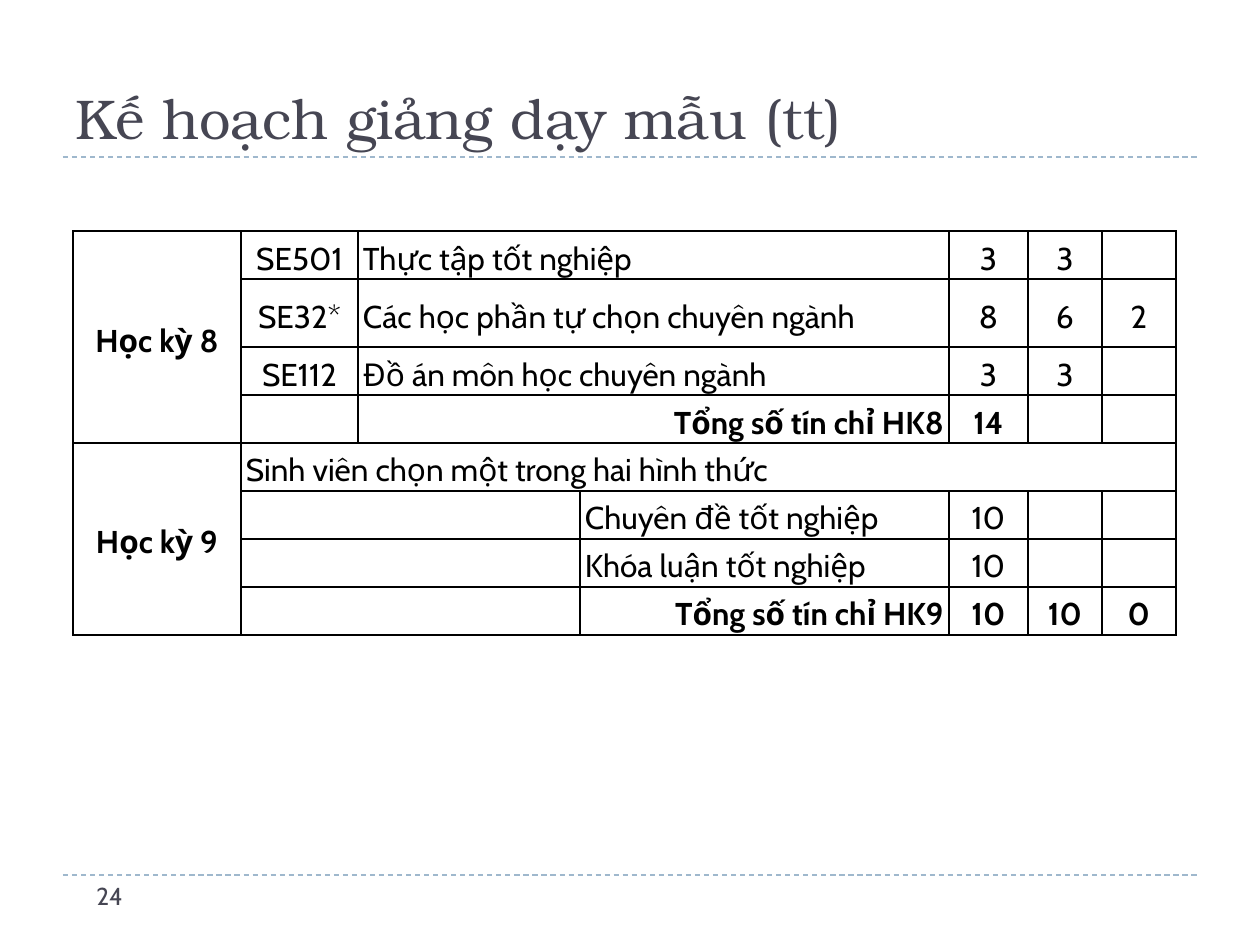
from lxml import etree
from pptx import Presentation
from pptx.dml.color import RGBColor
from pptx.enum.dml import MSO_LINE
from pptx.enum.shapes import MSO_CONNECTOR
from pptx.enum.text import MSO_ANCHOR, MSO_AUTO_SIZE, PP_ALIGN
from pptx.oxml.ns import qn
from pptx.util import Pt

PX = 914400 // 126
CENTER, RIGHT, JUSTIFY, LEFT = PP_ALIGN.CENTER, PP_ALIGN.RIGHT, PP_ALIGN.JUSTIFY, PP_ALIGN.LEFT
MIDDLE, TOP, BOTTOM = MSO_ANCHOR.MIDDLE, MSO_ANCHOR.TOP, MSO_ANCHOR.BOTTOM
STRAIGHT, DASH, NO_FIT = MSO_CONNECTOR.STRAIGHT, MSO_LINE.DASH, MSO_AUTO_SIZE.NONE

HEAD_FONT, BODY_FONT = "TeX Gyre Bonum", "Cabin"
INK, RULE, BLACK = "464653", "9FB8CD", "000000"

TITLE = "Kế hoạch giảng dạy mẫu (tt)"
PAGE = "24"
RULE_TOPS = [875, 157]

TABLE_LEFT, TABLE_TOP = 73, 231
COL_WIDTHS = [168, 117, 222, 369, 79, 74, 74]
ROW_HEIGHTS = [48, 68] + [48] * 6
# Columns: semester, code, subject (two columns), credits, theory, practice
ROWS = [
    ["Học kỳ 8", "SE501", "Thực tập tốt nghiệp", "", "3", "3", ""],
    ["", "SE32*", "Các học phần tự chọn chuyên ngành", "", "8", "6", "2"],
    ["", "SE112", "Đồ án môn học chuyên ngành", "", "3", "3", ""],
    ["", "", "Tổng số tín chỉ HK8", "", "14", "", ""],
    ["Học kỳ 9", "Sinh viên chọn một trong hai hình thức", "", "", "", "", ""],
    ["", "", "", "Chuyên đề tốt nghiệp", "10", "", ""],
    ["", "", "", "Khóa luận tốt nghiệp", "10", "", ""],
    ["", "", "", "Tổng số tín chỉ HK9", "10", "10", "0"],
]
TOTAL_ROWS = {3, 7}
MERGES = ([((0, 0), (3, 0)), ((4, 0), (7, 0)), ((4, 1), (4, 6))]
          + [((r, 2), (r, 3)) for r in range(4)]
          + [((r, 1), (r, 2)) for r in range(5, 8)])


def rgb(hex_color):
    return RGBColor.from_string(hex_color)


def add_run(p, text, font, size, color, bold=False):
    r = p.add_run()
    r.text = text
    r.font.name, r.font.size, r.font.bold = font, Pt(size), bold
    r.font.color.rgb = rgb(color)


def place(s, left, top, width, height):
    s.left, s.top, s.width, s.height = (v * PX for v in (left, top, width, height))


def add_rule(slide, top):
    line = slide.shapes.add_connector(STRAIGHT, 63 * PX, top * PX, 1197 * PX, top * PX)
    line.line.color.rgb = rgb(RULE)
    line.line.width = Pt(0.75)
    line.line.dash_style = DASH
    etree.SubElement(line._element.spPr, qn("a:effectLst"))


def set_borders(cell):
    tc_pr = cell._tc.get_or_add_tcPr()
    for i, side in enumerate(("lnL", "lnR", "lnT", "lnB")):
        ln = etree.Element(qn("a:" + side), w=str(Pt(1)))
        fill = etree.SubElement(ln, qn("a:solidFill"))
        etree.SubElement(fill, qn("a:srgbClr"), val=BLACK)
        tc_pr.insert(i, ln)


def cell_align(row, col, text):
    if text.startswith("Tổng"):
        return RIGHT
    is_subject = col in (2, 3) or (row, col) == (4, 1)
    return JUSTIFY if is_subject else CENTER


def add_plan_table(slide):
    table = slide.shapes.add_table(
        len(ROWS), len(COL_WIDTHS), TABLE_LEFT * PX, TABLE_TOP * PX,
        sum(COL_WIDTHS) * PX, sum(ROW_HEIGHTS) * PX).table
    table.first_row = table.horz_banding = False
    for column, width in zip(table.columns, COL_WIDTHS):
        column.width = width * PX
    for row, height in zip(table.rows, ROW_HEIGHTS):
        row.height = height * PX
    for i, row in enumerate(ROWS):
        for j, text in enumerate(row):
            cell = table.cell(i, j)
            cell.fill.background()
            set_borders(cell)
            cell.vertical_anchor = MIDDLE
            cell.margin_left = cell.margin_right = 5 * PX
            cell.margin_top = cell.margin_bottom = 0
            if text:
                p = cell.text_frame.paragraphs[0]
                p.alignment = cell_align(i, j, text)
                p.line_spacing = 1.2
                add_run(p, text, BODY_FONT, 18, BLACK, j == 0 or i in TOTAL_ROWS)
    for first, last in MERGES:
        table.cell(*first).merge(table.cell(*last))


def main():
    prs = Presentation()
    prs.slide_width, prs.slide_height = 1260 * PX, 945 * PX
    slide = prs.slides.add_slide(prs.slide_layouts[5])
    for top in RULE_TOPS:
        add_rule(slide, top)

    title = slide.shapes.title
    place(title, 63, 21, 1134, 136)
    page = slide.shapes.add_textbox(84 * PX, 875 * PX, 273 * PX, 50 * PX)
    for s, text, font, size, anchor in ((title, TITLE, HEAD_FONT, 32, BOTTOM),
                                        (page, PAGE, BODY_FONT, 14, TOP)):
        tf = s.text_frame
        tf.word_wrap, tf.auto_size, tf.vertical_anchor = True, NO_FIT, anchor
        p = tf.paragraphs[0]
        p.alignment = LEFT
        add_run(p, text, font, size, INK)

    add_plan_table(slide)
    prs.save("out.pptx")


if __name__ == "__main__":
    main()
